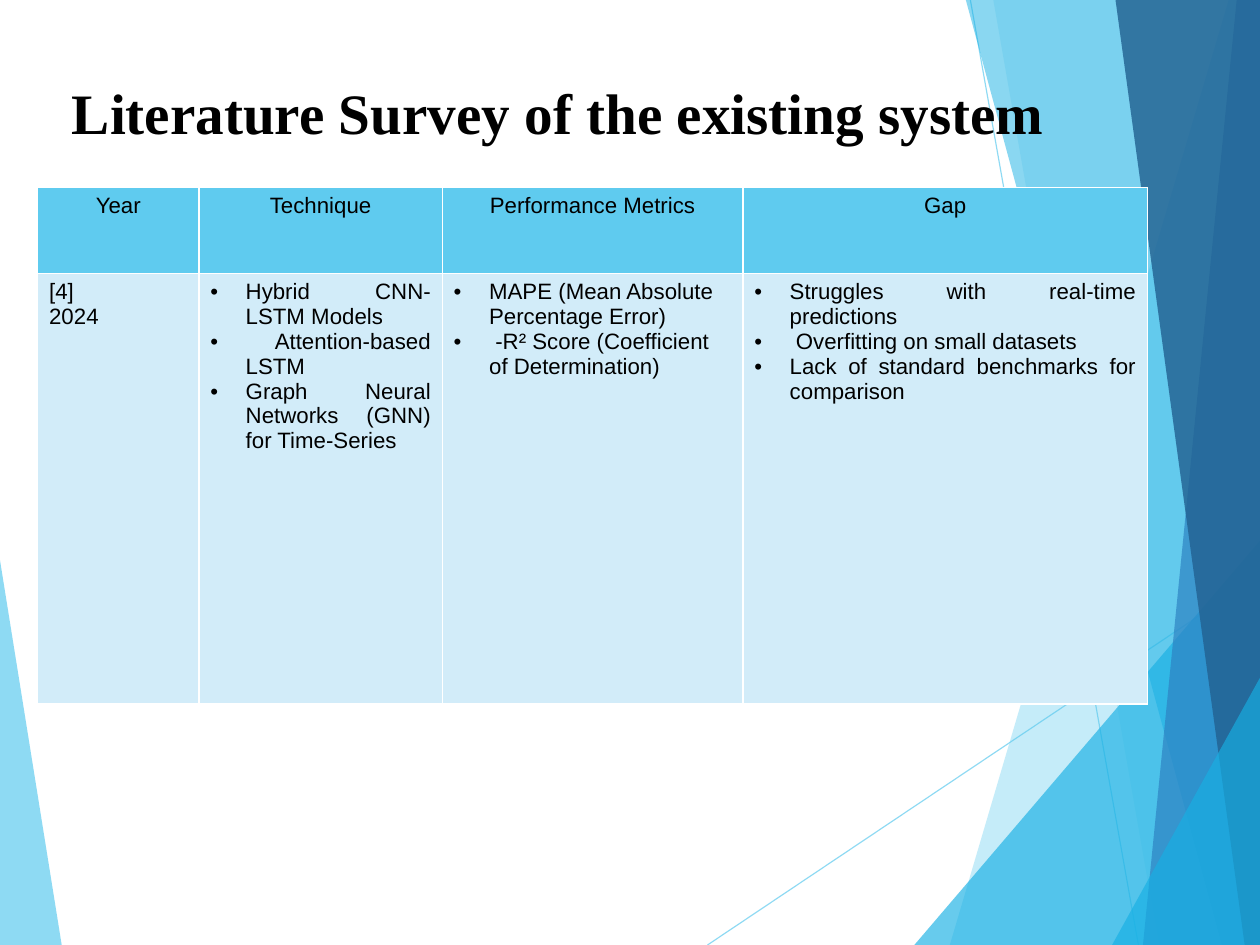
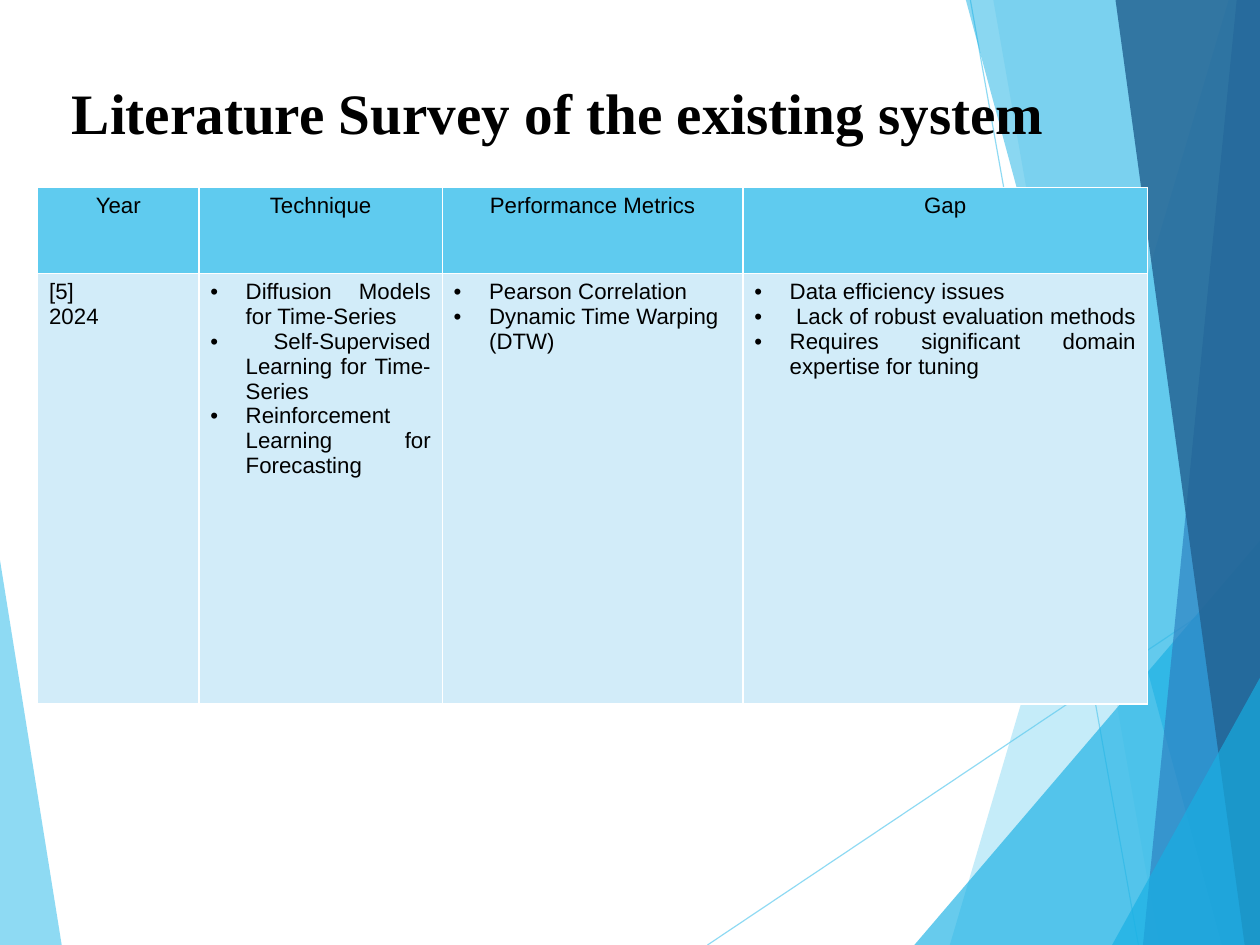
from dataclasses import dataclass

from lxml import etree
from pptx import Presentation
from pptx.dml.color import RGBColor
from pptx.enum.shapes import MSO_CONNECTOR, PP_PLACEHOLDER
from pptx.enum.text import MSO_ANCHOR, MSO_AUTO_SIZE, PP_ALIGN
from pptx.oxml.ns import qn
from pptx.util import Inches, Pt

STRAIGHT = MSO_CONNECTOR.STRAIGHT
TITLE = PP_PLACEHOLDER.TITLE
TOP = MSO_ANCHOR.TOP
NO_AUTOFIT = MSO_AUTO_SIZE.NONE
LEFT, CENTER, JUSTIFY = PP_ALIGN.LEFT, PP_ALIGN.CENTER, PP_ALIGN.JUSTIFY


@dataclass(frozen=True)
class Theme:
    sky: str = "5FCBEF"
    cyan: str = "17B0E4"
    blue: str = "2E83C3"
    navy: str = "236292"
    pale: str = "D2ECF9"
    white: str = "FFFFFF"
    black: str = "000000"
    title_font: str = "Times New Roman"
    table_font: str = "Arial"
    title_size: int = 36
    table_size: int = 14
    rule_width: float = 0.75
    border_width: int = 1


THEME = Theme()
CENTIMETRES_PER_INCH = 2.54
WIDTH, HEIGHT = 28 / CENTIMETRES_PER_INCH, 21 / CENTIMETRES_PER_INCH
TITLE_BOX = (0.53, 0.63, 9.96, 1.59)
TABLE_BOX = (0.33, 1.64, 9.71, 4.52)
COLUMN_WIDTHS = (1.41, 2.13, 2.63, 3.54)
HEADER_HEIGHT = 0.75
BULLET_INDENT = 0.31

RULES = (
    ((6.19, HEIGHT), (WIDTH, 5.03)),
    ((8.49, 0), (9.96, HEIGHT)),
)
RIGHT_EDGE = ((WIDTH, HEIGHT), (WIDTH, 0))
FACETS = (
    (THEME.sky, 70, ((0, 4.9), (0.54, HEIGHT), (0, HEIGHT))),
    (THEME.sky, 36, ((10.75, 0), (8.31, HEIGHT), *RIGHT_EDGE)),
    (THEME.sky, 20, ((8.69, 0), (10.14, HEIGHT), *RIGHT_EDGE)),
    (THEME.cyan, 65, ((8, HEIGHT), (WIDTH, 4.73), (WIDTH, HEIGHT))),
    (THEME.cyan, 50, ((8.45, 0), (10.69, HEIGHT), *RIGHT_EDGE)),
    (THEME.blue, 70, ((10.82, 0), (10, HEIGHT), *RIGHT_EDGE)),
    (THEME.navy, 82, ((9.76, 0), (10.89, HEIGHT), *RIGHT_EDGE)),
    (THEME.cyan, 65, ((9.73, HEIGHT), (WIDTH, 5.93), (WIDTH, HEIGHT))),
)

SURVEY_TITLE = "Literature Survey of the existing system"
HEADINGS = ("Year", "Technique", "Performance Metrics", "Gap")
BODY_ALIGNMENTS = (LEFT, JUSTIFY, LEFT, JUSTIFY)
SURVEYS = (
    (
        ("[4]", "2024"),
        ("Hybrid CNN-LSTM Models", " Attention-based LSTM ",
         "Graph Neural Networks (GNN) for Time-Series"),
        ("MAPE (Mean Absolute Percentage Error)",
         " -R² Score (Coefficient of Determination)"),
        ("Struggles with real-time predictions", " Overfitting on small datasets ",
         "Lack of standard benchmarks for comparison"),
    ),
    (
        ("[5]", "2024"),
        ("Diffusion Models for Time-Series",
         " Self-Supervised Learning for Time-Series",
         "Reinforcement Learning for Forecasting"),
        ("Pearson Correlation", "Dynamic Time Warping (DTW)"),
        ("Data efficiency issues", " Lack of robust evaluation methods ",
         "Requires significant domain expertise for tuning"),
    ),
)


def inches(values):
    return [Inches(value) for value in values]


def paint(fill, color, opacity=100):
    fill.solid()
    fill.fore_color.rgb = RGBColor.from_string(color)
    if opacity < 100:
        for node in fill._xPr.iter(qn("a:srgbClr")):
            etree.SubElement(node, qn("a:alpha"), val=str(opacity * 1000))


def style_runs(paragraph, font_name, size, bold=False):
    for run in paragraph.runs:
        run.font.name = font_name
        run.font.size = Pt(size)
        run.font.bold = bold
        run.font.color.rgb = RGBColor.from_string(THEME.black)


def add_rule(slide, start, end):
    rule = slide.shapes.add_connector(STRAIGHT, *inches(start), *inches(end))
    rule.line.width = Pt(THEME.rule_width)
    paint(rule.line.fill, THEME.sky, 70)
    etree.SubElement(rule.element.spPr, qn("a:effectLst"))
    return rule


def add_facet(slide, color, opacity, points):
    start, *others = [inches(point) for point in points]
    builder = slide.shapes.build_freeform(*start)
    builder.add_line_segments(others, close=True)
    facet = builder.convert_to_shape()
    facet.shadow.inherit = False
    paint(facet.fill, color, opacity)
    facet.line.fill.background()
    return facet


def build_backdrop(slide):
    layout = slide.slide_layout
    for placeholder in list(layout.placeholders):
        if placeholder.placeholder_format.type != TITLE:
            placeholder.element.getparent().remove(placeholder.element)
    first_facet, *other_facets = FACETS
    pieces = [add_facet(slide, *first_facet)]
    pieces += [add_rule(slide, *rule) for rule in RULES]
    pieces += [add_facet(slide, *facet) for facet in other_facets]
    for piece in pieces:
        layout.shapes.element.append(piece.element)


def place_title(slide, text, box):
    title = slide.shapes.title
    title.left, title.top, title.width, title.height = inches(box)
    frame = title.text_frame
    frame.text = text
    frame.word_wrap = True
    frame.auto_size = NO_AUTOFIT
    frame.vertical_anchor = TOP
    paragraph = frame.paragraphs[0]
    paragraph.alignment = LEFT
    style_runs(paragraph, THEME.title_font, THEME.title_size, bold=True)


def add_bullet(paragraph):
    properties = paragraph._p.get_or_add_pPr()
    indent = Inches(BULLET_INDENT)
    properties.set("marL", str(indent))
    properties.set("indent", str(-indent))
    color = etree.SubElement(properties, qn("a:buClr"))
    etree.SubElement(color, qn("a:srgbClr"), val=THEME.black)
    etree.SubElement(properties, qn("a:buFont"), typeface=THEME.table_font)
    etree.SubElement(properties, qn("a:buChar"), char="•")


def add_borders(cell):
    properties = cell._tc.get_or_add_tcPr()
    for position, side in enumerate(("a:lnL", "a:lnR", "a:lnT", "a:lnB")):
        border = etree.Element(qn(side), w=str(Pt(THEME.border_width)))
        fill = etree.SubElement(border, qn("a:solidFill"))
        etree.SubElement(fill, qn("a:srgbClr"), val=THEME.white)
        properties.insert(position, border)


def fill_cell(cell, lines, color, alignment, bulleted=False):
    cell.text_frame.text = "\n".join(lines)
    for paragraph in cell.text_frame.paragraphs:
        paragraph.alignment = alignment
        style_runs(paragraph, THEME.table_font, THEME.table_size)
        if bulleted:
            add_bullet(paragraph)
    paint(cell.fill, color)
    add_borders(cell)


def place_survey_table(slide, entry, box):
    frame = slide.shapes.add_table(2, len(HEADINGS), *inches(box))
    table = frame.table
    table.first_row = table.horz_banding = False
    table.rows[0].height = Inches(HEADER_HEIGHT)
    table.rows[1].height = Inches(box[3] - HEADER_HEIGHT)
    for index, width in enumerate(COLUMN_WIDTHS):
        table.columns[index].width = Inches(width)
        fill_cell(table.cell(0, index), [HEADINGS[index]], THEME.sky, CENTER)
        fill_cell(table.cell(1, index), entry[index], THEME.pale,
                  BODY_ALIGNMENTS[index], bulleted=index > 0)


def build_survey_slide(slide, entry):
    place_title(slide, SURVEY_TITLE, TITLE_BOX)
    place_survey_table(slide, entry, TABLE_BOX)


def main():
    presentation = Presentation()
    presentation.slide_width, presentation.slide_height = inches((WIDTH, HEIGHT))
    layout = presentation.slide_layouts.get_by_name("Title Only")
    slides = [presentation.slides.add_slide(layout) for _ in SURVEYS]
    build_backdrop(slides[0])
    for slide, entry in zip(slides, SURVEYS):
        build_survey_slide(slide, entry)
    presentation.save("out.pptx")


if __name__ == "__main__":
    main()
